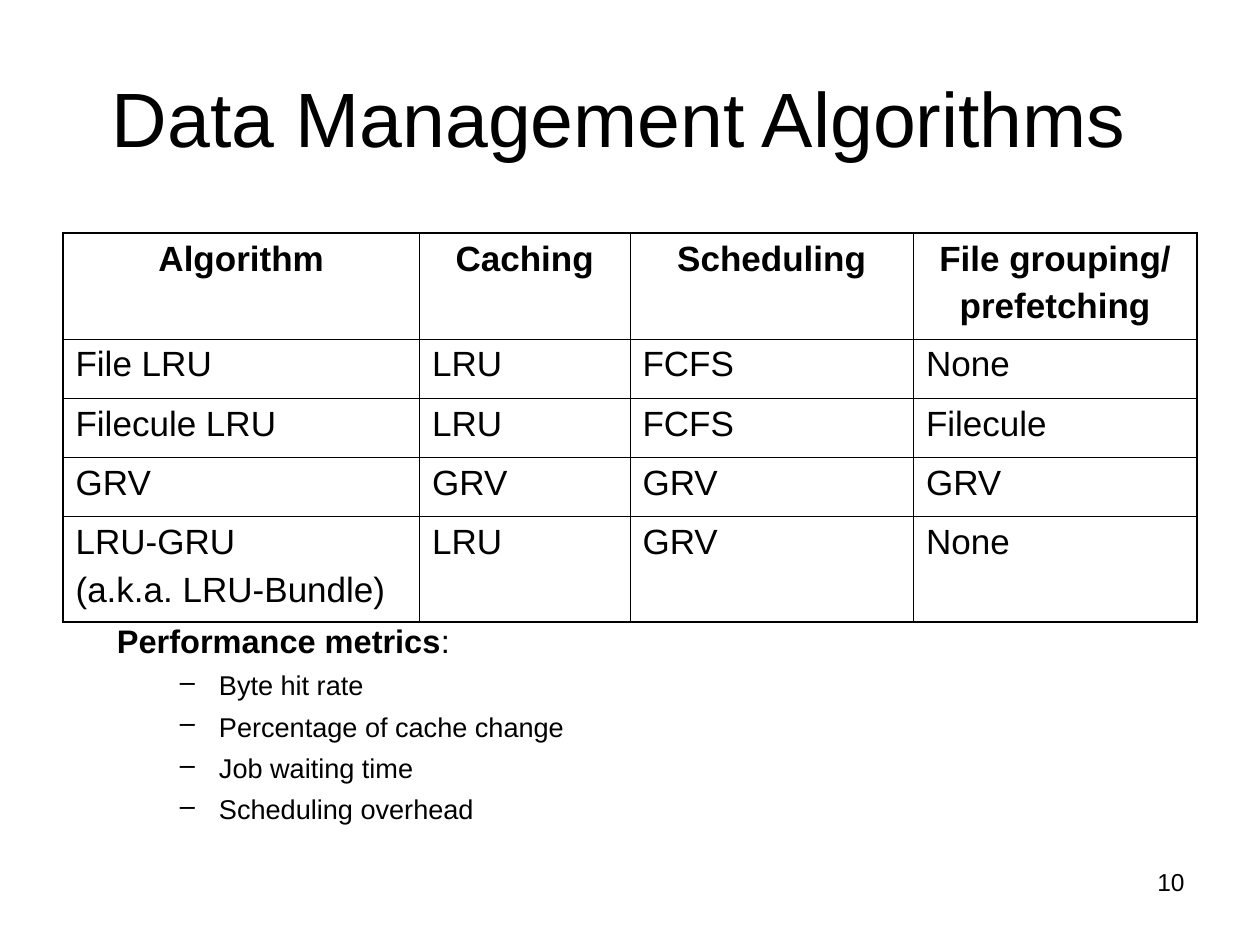
from lxml import etree
from pptx import Presentation
from pptx import util as u
from pptx.dml.color import RGBColor
from pptx.enum import text
from pptx.oxml import ns

COLORS = {"ink": "000000", "paper": "FFFFFF"}
FONT = "Arial"
THIN, THICK = u.Pt(0.45), u.Pt(1.08)
COLUMN_WIDTHS = [2.83, 1.67, 2.25, 2.25]
ROW_HEIGHTS = [0.84, 0.47, 0.47, 0.47, 0.84]
ROWS = [
    ["Algorithm", "Caching", "Scheduling", "File grouping/\nprefetching"],
    ["File LRU", "LRU", "FCFS", "None"],
    ["Filecule LRU", "LRU", "FCFS", "Filecule"],
    ["GRV", "GRV", "GRV", "GRV"],
    ["LRU-GRU\n(a.k.a. LRU-Bundle)", "LRU", "GRV", "None"],
]
METRICS = ["Byte hit rate", "Percentage of cache change", "Job waiting time",
           "Scheduling overhead"]


def format_runs(paragraph, size, bold=False):
    for run in paragraph.runs:
        run.font.name = FONT
        run.font.size = u.Pt(size)
        run.font.bold = bold
        run.font.color.rgb = RGBColor.from_string(COLORS["ink"])


def add_text(slide, left, top, width, height, wording, size, align, anchor):
    shape = slide.shapes.add_textbox(*map(u.Inches, (left, top, width, height)))
    text_frame = shape.text_frame
    text_frame.word_wrap = True
    text_frame.vertical_anchor = anchor
    text_frame.text = wording
    for paragraph in text_frame.paragraphs:
        paragraph.alignment = align
        format_runs(paragraph, size)
    return text_frame


def set_indent(paragraph, margin, hanging, bullet=None):
    properties = paragraph._p.get_or_add_pPr()
    properties.set("marL", str(u.Inches(margin)))
    properties.set("indent", str(-u.Inches(hanging)))
    if bullet:
        etree.SubElement(properties, ns.qn("a:buChar")).set("char", bullet)


def set_borders(cell, widths):
    properties = cell._tc.get_or_add_tcPr()
    for side, width in widths.items():
        line = etree.SubElement(properties, ns.qn(f"a:ln{side}"), w=str(width))
        fill = etree.SubElement(line, ns.qn("a:solidFill"))
        etree.SubElement(fill, ns.qn("a:srgbClr"), val=COLORS["ink"])


def add_algorithm_table(slide):
    last_row, last_column = len(ROWS) - 1, len(COLUMN_WIDTHS) - 1
    table = slide.shapes.add_table(
        len(ROWS), len(COLUMN_WIDTHS), u.Inches(0.5), u.Inches(1.85),
        u.Inches(sum(COLUMN_WIDTHS)), u.Inches(sum(ROW_HEIGHTS))).table
    table.first_row = table.horz_banding = False
    for column, width in zip(table.columns, COLUMN_WIDTHS):
        column.width = u.Inches(width)
    for row, height in zip(table.rows, ROW_HEIGHTS):
        row.height = u.Inches(height)

    for r, row in enumerate(ROWS):
        for c, wording in enumerate(row):
            cell = table.cell(r, c)
            cell.text_frame.text = wording
            for i, paragraph in enumerate(cell.text_frame.paragraphs):
                paragraph.alignment = text.PP_ALIGN.CENTER if r == 0 else text.PP_ALIGN.LEFT
                paragraph.space_before = u.Pt(5 if i else 0)
                format_runs(paragraph, 20, bold=r == 0)
            # Heavy frame outside, fine rules inside
            set_borders(cell, {
                "L": THICK if c == 0 else THIN,
                "R": THICK if c == last_column else THIN,
                "T": THICK if r == 0 else THIN,
                "B": THICK if r == last_row else THIN,
            })
            cell.fill.background()


def add_metrics(slide):
    text_frame = add_text(slide, 0.83, 4.88, 7.5, 1.78, "Performance metrics", 18.6,
                          text.PP_ALIGN.LEFT, text.MSO_ANCHOR.TOP)
    heading = text_frame.paragraphs[0]
    set_indent(heading, 0.38, 0.38)
    heading.add_run().text = ":"
    format_runs(heading, 18.6)
    heading.runs[0].font.bold = True
    for metric in METRICS:
        paragraph = text_frame.add_paragraph()
        paragraph.text = metric
        paragraph.level = 1
        set_indent(paragraph, 0.81, 0.31, "–")
        paragraph.space_before = u.Pt(5)
        format_runs(paragraph, 15.5)


def main():
    presentation = Presentation()
    presentation.slide_width, presentation.slide_height = u.Inches(10), u.Inches(7.5)
    slide = presentation.slides.add_slide(presentation.slide_layouts[6])
    slide.background.fill.solid()
    slide.background.fill.fore_color.rgb = RGBColor.from_string(COLORS["paper"])

    # Title
    add_text(slide, 0.5, 0.3, 9, 1.25, "Data Management Algorithms ", 44,
             text.PP_ALIGN.CENTER, text.MSO_ANCHOR.MIDDLE)
    # Metrics and comparison table
    add_metrics(slide)
    add_algorithm_table(slide)
    # Page number
    add_text(slide, 7.17, 6.83, 2.33, 0.52, "10", 14,
             text.PP_ALIGN.RIGHT, text.MSO_ANCHOR.TOP)
    presentation.save("out.pptx")


if __name__ == "__main__":
    main()
